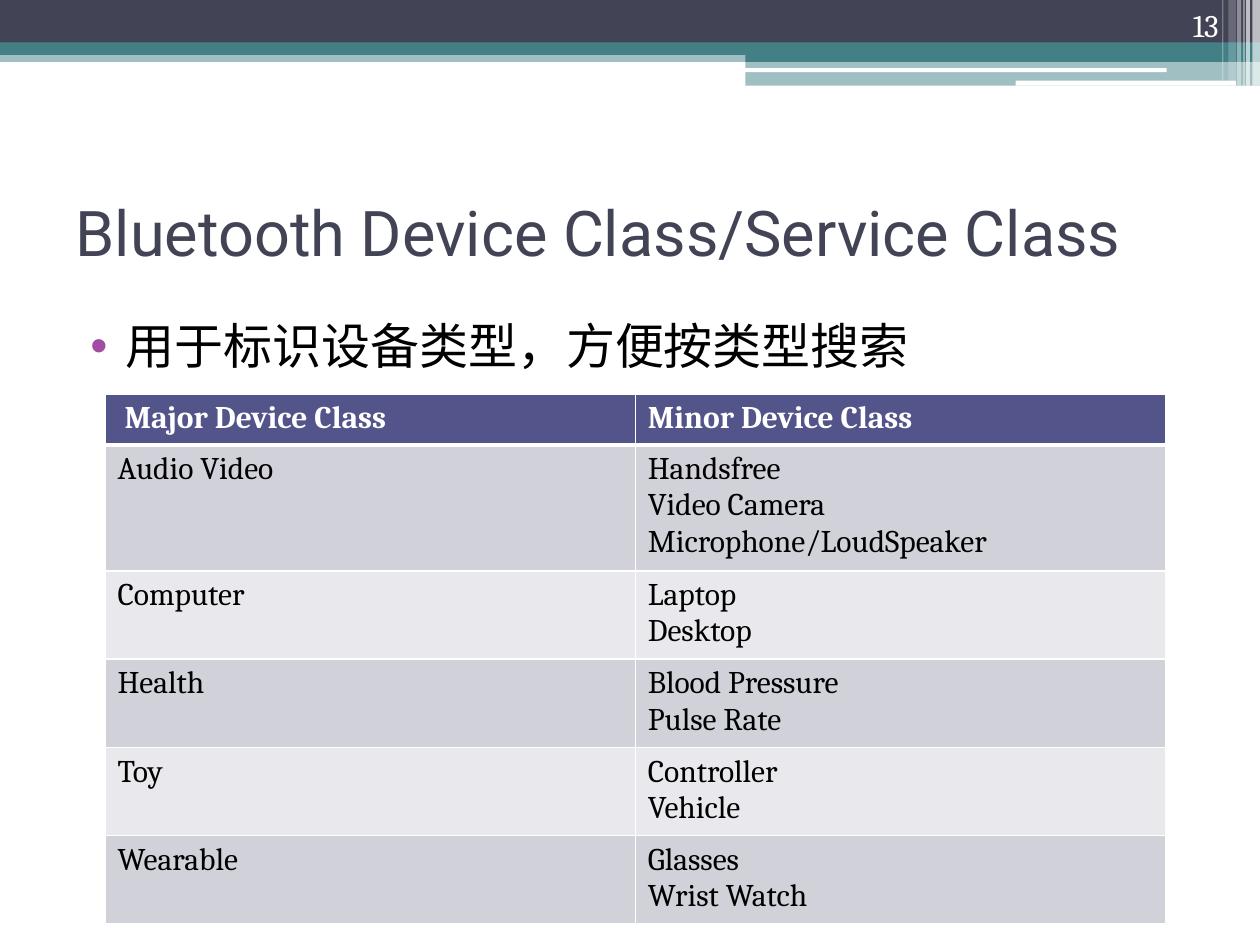
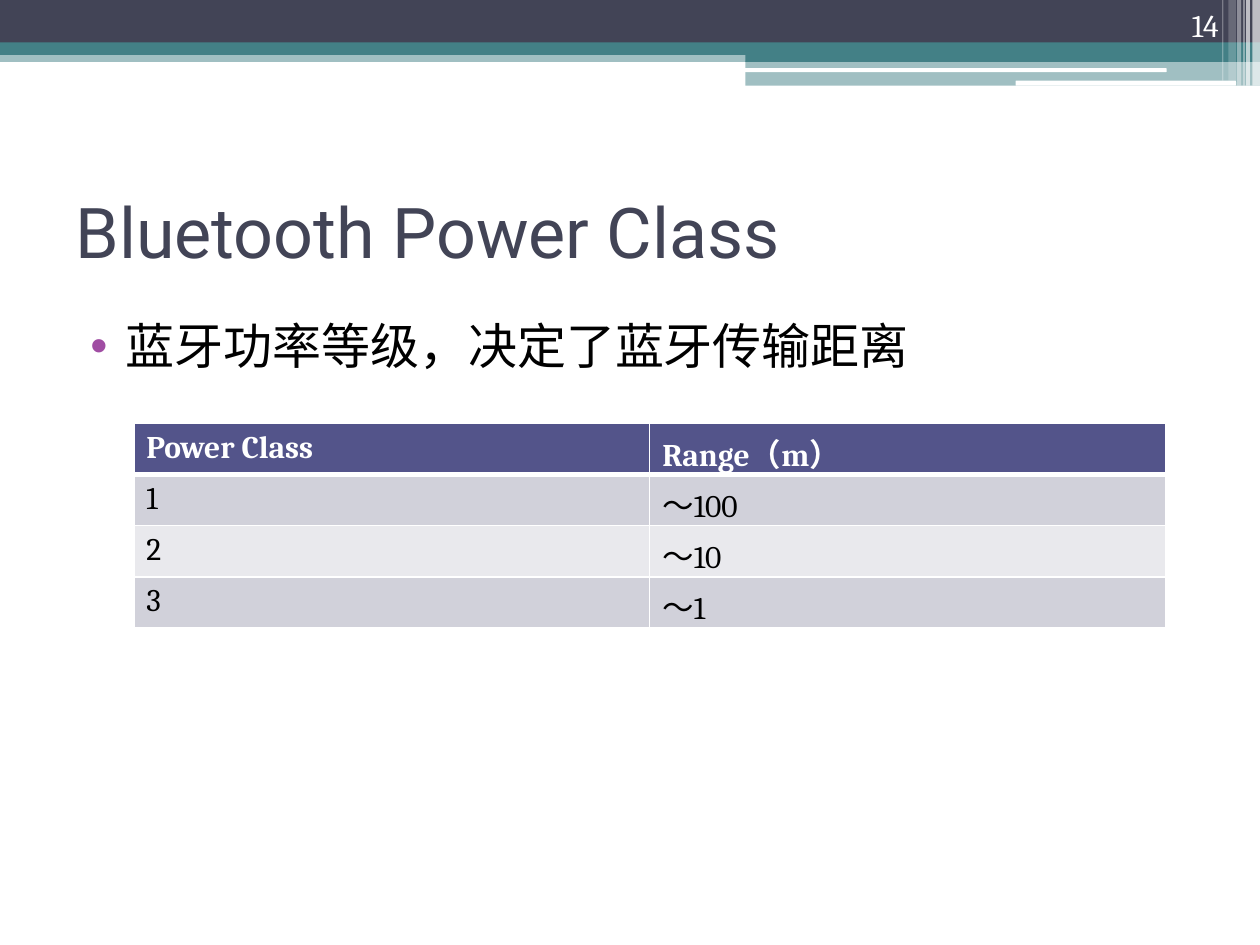
from lxml.etree import SubElement
from pptx import Presentation
from pptx.dml.color import RGBColor
from pptx.enum.shapes import MSO_SHAPE as Shape
from pptx.enum.text import MSO_ANCHOR as Anchor, MSO_AUTO_SIZE as AutoSize, PP_ALIGN as Align
from pptx.oxml.ns import qn
from pptx.util import Pt

WHITE = RGBColor(0xFF, 0xFF, 0xFF)
BLACK = RGBColor(0x00, 0x00, 0x00)
SLATE = RGBColor(0x42, 0x44, 0x56)
TEAL = RGBColor(0x43, 0x80, 0x86)
PURPLE = RGBColor(0xA0, 0x4D, 0xA3)
INDIGO = RGBColor(0x53, 0x54, 0x8A)
ROW_FILLS = RGBColor(0xE9, 0xE9, 0xED), RGBColor(0xD1, 0xD1, 0xDA)

PAGE_WIDTH, PAGE_HEIGHT = 720, 540
ROW_HEIGHT = 29.2

TITLE = {"name": "Roboto", "size": Pt(36), "color": SLATE}
BODY = {"name": "Cambria", "size": Pt(28), "color": BLACK}
NUMBER = {"name": "Cambria", "size": Pt(18), "color": WHITE}
HEADER = {**NUMBER, "bold": True}
CELL = {**NUMBER, "color": BLACK, "bold": False}

BANDS = [
    (0, 28.8, PAGE_WIDTH, 6.6, TEAL, 50),
    (0, 0, PAGE_WIDTH, 24.5, SLATE, 100),
    (0, 24.2, PAGE_WIDTH, 7.2, TEAL, 100),
    (426, 28.2, 294, 7.2, TEAL, 100),
    (426, 34.8, 294, 14.2, TEAL, 50),
]
WHITE_BARS = [(425.5, 39, 241.2, 2.2), (580.3, 46.1, 126, 2.9)]
STRIPES = [
    (715.6, 4.4, 49, 65),
    (712.1, 2.2, 49, 65),
    (710.6, 0.75, 49, 60),
    (707, 2.2, 49, 40),
    (702, 4.3, 46.1, 20),
    (698.4, 0.75, 46.1, 30),
]


class DeckBuilder:
    def __init__(self):
        self.deck = Presentation()
        self.deck.slide_width = Pt(PAGE_WIDTH)
        self.deck.slide_height = Pt(PAGE_HEIGHT)
        self.page = None

    def new_page(self, number, title, title_size):
        self.page = self.deck.slides.add_slide(self.deck.slide_layouts[5])
        self.bands()
        self.title(title, title_size)
        self.page_number(number)

    def band(self, left, top, width, height, color, opacity=100, kind=Shape.RECTANGLE):
        band = self.page.shapes.add_shape(kind, Pt(left), Pt(top), Pt(width), Pt(height))
        band.shadow.inherit = False
        band.line.fill.background()
        band.fill.solid()
        band.fill.fore_color.rgb = color
        if opacity < 100:
            tint = band._element.spPr.find(qn("a:solidFill"))[0]
            SubElement(tint, qn("a:alpha")).set("val", str(opacity * 1000))

    def bands(self):
        for band in BANDS:
            self.band(*band)
        for bar in WHITE_BARS:
            self.band(*bar, WHITE, kind=Shape.ROUNDED_RECTANGLE)
        for left, width, height, opacity in STRIPES:
            self.band(left, 0, width, height, WHITE, opacity)

    def add_text(self, para, text, style):
        span = para.add_run()
        span.text = text
        for key, value in style.items():
            if key == "color":
                span.font.color.rgb = value
            else:
                setattr(span.font, key, value)

    def title(self, text, size):
        box = self.page.shapes.title
        place = {"left": Pt(36), "top": Pt(90), "width": Pt(648), "height": Pt(84)}
        for key, value in place.items():
            setattr(box, key, value)
        frame = box.text_frame
        frame.auto_size = AutoSize.NONE
        frame.vertical_anchor = Anchor.MIDDLE
        para = frame.paragraphs[0]
        para.alignment = Align.LEFT
        self.add_text(para, text, {**TITLE, "size": Pt(size)})

    def text_box(self, left, top, width, height, text, style, **layout):
        box = self.page.shapes.add_textbox(Pt(left), Pt(top), Pt(width), Pt(height))
        frame = box.text_frame
        frame.word_wrap = True
        frame.vertical_anchor = layout.get("anchor", Anchor.TOP)
        para = frame.paragraphs[0]
        para.alignment = layout.get("align", Align.LEFT)
        self.add_text(para, text, style)
        return para

    def page_number(self, number):
        self.text_box(643.7, 0, 59.8, 28.8, str(number), NUMBER,
                      anchor=Anchor.BOTTOM, align=Align.RIGHT)

    def bullet(self, text):
        para = self.text_box(36, 177, 648, 342, text, BODY)
        para.space_before = Pt(3)
        props = para._p.get_or_add_pPr()
        props.set("marL", str(Pt(28.8)))
        props.set("indent", str(Pt(-20.2)))
        tint = SubElement(props, qn("a:buClr"))
        SubElement(tint, qn("a:srgbClr")).set("val", str(PURPLE))
        SubElement(props, qn("a:buFont")).set("typeface", "Arial")
        SubElement(props, qn("a:buChar")).set("char", "•")

    def borders(self, cell, row):
        props = cell._tc.get_or_add_tcPr()
        top = 3 if row == 1 else 1
        bottom = 3 if row == 0 else 1
        for side, width in {"L": 1, "R": 1, "T": top, "B": bottom}.items():
            line = SubElement(props, qn(f"a:ln{side}"), w=str(Pt(width)))
            fill = SubElement(line, qn("a:solidFill"))
            SubElement(fill, qn("a:srgbClr")).set("val", str(WHITE))

    def table(self, left, top, width, height, rows):
        columns = len(rows[0])
        holder = self.page.shapes.add_table(
            len(rows), columns, Pt(left), Pt(top), Pt(width), Pt(height))
        for index, texts in enumerate(rows):
            holder.table.rows[index].height = Pt(ROW_HEIGHT)
            for column, text in enumerate(texts):
                cell = holder.table.cell(index, column)
                self.borders(cell, index)
                cell.fill.solid()
                cell.fill.fore_color.rgb = ROW_FILLS[index % 2] if index else INDIGO
                frame = cell.text_frame
                for position, line in enumerate(text.split("\n")):
                    para = frame.add_paragraph() if position else frame.paragraphs[0]
                    self.add_text(para, line, CELL if index else HEADER)
        holder.height = Pt(height)


def main():
    builder = DeckBuilder()

    builder.new_page(13, "Bluetooth Device Class/Service Class", 36)
    builder.bullet("用于标识设备类型，方便按类型搜索")
    builder.table(60, 225, 606, 303, [
        (" Major Device Class", "Minor Device Class"),
        ("Audio Video", "Handsfree\nVideo Camera\nMicrophone/LoudSpeaker"),
        ("Computer", "Laptop\nDesktop"),
        ("Health", "Blood Pressure\nPulse Rate"),
        ("Toy", "Controller\nVehicle"),
        ("Wearable", "Glasses\nWrist Watch"),
    ])

    builder.new_page(14, "Bluetooth Power Class", 40)
    builder.bullet("蓝牙功率等级，决定了蓝牙传输距离")
    builder.table(76.5, 242, 589.5, 118.8, [
        ("Power Class", "Range（m）"),
        ("1", "～100"),
        ("2", "～10"),
        ("3", "～1"),
    ])

    builder.deck.save("out.pptx")


if __name__ == "__main__":
    main()
